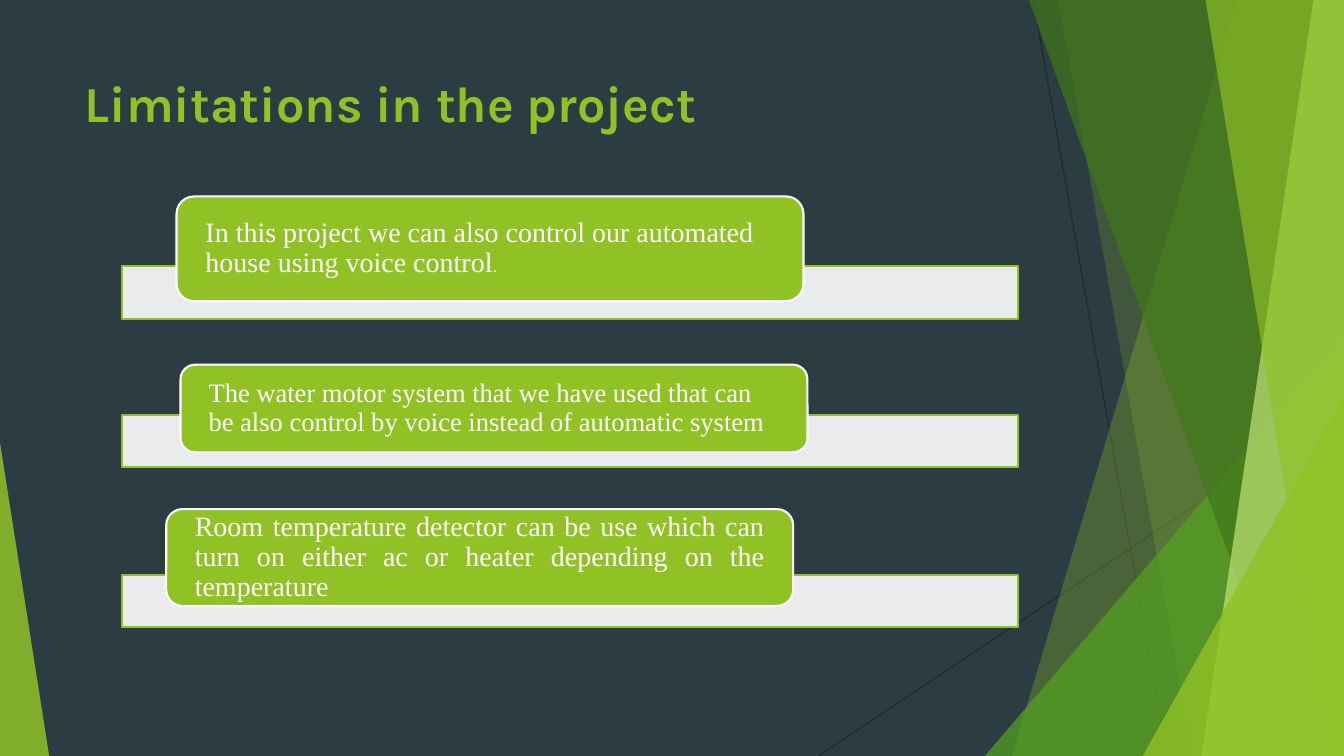
"""Build the slide on the limitations of the home automation project."""
from lxml import etree
from pptx import Presentation
from pptx.dml.color import RGBColor
from pptx.enum.shapes import MSO_CONNECTOR, MSO_SHAPE
from pptx.enum.text import MSO_ANCHOR, MSO_AUTO_SIZE, PP_ALIGN
from pptx.oxml.ns import qn
from pptx.util import Cm, Pt

LEFT, JUSTIFY = PP_ALIGN.LEFT, PP_ALIGN.JUSTIFY
TOP, MIDDLE = MSO_ANCHOR.TOP, MSO_ANCHOR.MIDDLE
RECT, CARD, TRIANGLE = MSO_SHAPE.RECTANGLE, MSO_SHAPE.ROUNDED_RECTANGLE, MSO_SHAPE.ISOSCELES_TRIANGLE
STRAIGHT, NO_FIT = MSO_CONNECTOR.STRAIGHT, MSO_AUTO_SIZE.NONE

SLIDE_W, SLIDE_H = 33.87, 19.05
DARK, GREEN, WHITE, THREAD = "2C3C43", "90C226", "FFFFFF", "262626"
TITLE_FONT, BODY_FONT = "Karla", "Times New Roman"

TITLE = "Limitations in the project"

# bar top, card left, top, height, alignment, runs of (text, size)
LIMITATIONS = [
    (6.71, 4.45, 4.95, 2.64, LEFT,
     [("In this project we can also control our automated house using voice control", 20), (".", 13)]),
    (10.46, 4.55, 9.19, 2.21, LEFT,
     [("The water motor system that we have used that can be also control by voice "
       "instead of automatic system", 19)]),
    (14.48, 4.19, 12.83, 2.44, JUSTIFY,
     [("Room temperature detector can be use which can turn on either ac or heater "
       "depending on the temperature", 20)]),
]
BAR_LEFT, BAR_W, BAR_H, CARD_W = 3.07, 22.58, 1.32, 15.8

THREADS = [(26.04, 0, 29.41, SLIDE_H), (SLIDE_W, 10.24, 20.62, SLIDE_H)]

# facet: top x, bottom x; triangle: left, top, width, apex
DECOR = [
    ("facet", (31.19, 25.5), GREEN, 30),
    ("facet", (26.67, 30.05), GREEN, 20),
    ("triangle", (24.82, 8.46, 9.05, 1), "54A021", 72),
    ("facet", (25.93, 32.79), "3F7819", 70),
    ("facet", (33.1, 30.28), "C0E474", 70),
    ("facet", (30.38, 33.48), GREEN, 65),
    ("triangle", (28.8, 9.98, 5.07, 1), GREEN, 80),
    ("triangle", (0, 11.15, 1.24, 0), GREEN, 85),
]


def rgb(value):
    return RGBColor.from_string(value)


def style(sp, fill, alpha=100, line=None):
    sp.shadow.inherit = False
    sp.fill.solid()
    sp.fill.fore_color.rgb = rgb(fill)
    if alpha < 100:
        color = sp.fill._xPr.find(qn("a:solidFill"))[0]
        etree.SubElement(color, qn("a:alpha"), val=str(alpha * 1000))
    if line:
        sp.line.color.rgb = rgb(line)
        sp.line.width = Pt(1.5)
    else:
        sp.line.fill.background()


def add_box(s, kind, left, top, width, height):
    return s.shapes.add_shape(kind, Cm(left), Cm(top), Cm(width), Cm(height))


def add_run(p, text, size, font, color, bold=False):
    r = p.add_run()
    r.text = text
    r.font.size = Pt(size)
    r.font.name = font
    r.font.bold = bold
    r.font.color.rgb = rgb(color)


def add_decor(s):
    for x1, y1, x2, y2 in THREADS:
        thread = s.shapes.add_connector(STRAIGHT, Cm(x1), Cm(y1), Cm(x2), Cm(y2))
        thread.line.color.rgb = rgb(THREAD)
        thread.line.width = Pt(0.75)
        etree.SubElement(thread._element.spPr, qn("a:effectLst"))
    for kind, place, color, alpha in DECOR:
        if kind == "facet":
            top_x, bottom_x = place
            outline = s.shapes.build_freeform(Cm(top_x), 0)
            corners = [(SLIDE_W, 0), (SLIDE_W, SLIDE_H), (bottom_x, SLIDE_H)]
            outline.add_line_segments([(Cm(x), Cm(y)) for x, y in corners], close=True)
            sp = outline.convert_to_shape()
        else:
            left, top, width, apex = place
            sp = add_box(s, TRIANGLE, left, top, width, SLIDE_H - top)
            sp.adjustments[0] = apex
        style(sp, color, alpha)


def add_title(s):
    sp = s.shapes.title
    sp.left, sp.top, sp.width, sp.height = Cm(1.88), Cm(1.7), Cm(23.88), Cm(3.66)
    tf = sp.text_frame
    tf.word_wrap = True
    tf.auto_size = NO_FIT
    tf.vertical_anchor = TOP
    p = tf.paragraphs[0]
    p.alignment = LEFT
    add_run(p, TITLE, 36, TITLE_FONT, GREEN, True)


def add_limitation(s, bar_top, left, top, height, align, runs):
    bar = add_box(s, RECT, BAR_LEFT, bar_top, BAR_W, BAR_H)
    style(bar, WHITE, 90, GREEN)
    card = add_box(s, CARD, left, top, CARD_W, height)
    style(card, GREEN, line=WHITE)
    tf = card.text_frame
    tf.word_wrap = True
    tf.vertical_anchor = MIDDLE
    tf.margin_left = tf.margin_right = Cm(0.6)
    tf.margin_top = tf.margin_bottom = 0
    p = tf.paragraphs[0]
    p.alignment = align
    p.line_spacing = 0.9
    for text, size in runs:
        add_run(p, text, size, BODY_FONT, WHITE)


def main():
    prs = Presentation()
    prs.slide_width, prs.slide_height = Cm(SLIDE_W), Cm(SLIDE_H)
    s = prs.slides.add_slide(prs.slide_layouts[5])
    s.background.fill.solid()
    s.background.fill.fore_color.rgb = rgb(DARK)
    add_decor(s)
    add_title(s)
    for limitation in LIMITATIONS:
        add_limitation(s, *limitation)
    prs.save("out.pptx")


if __name__ == "__main__":
    main()
